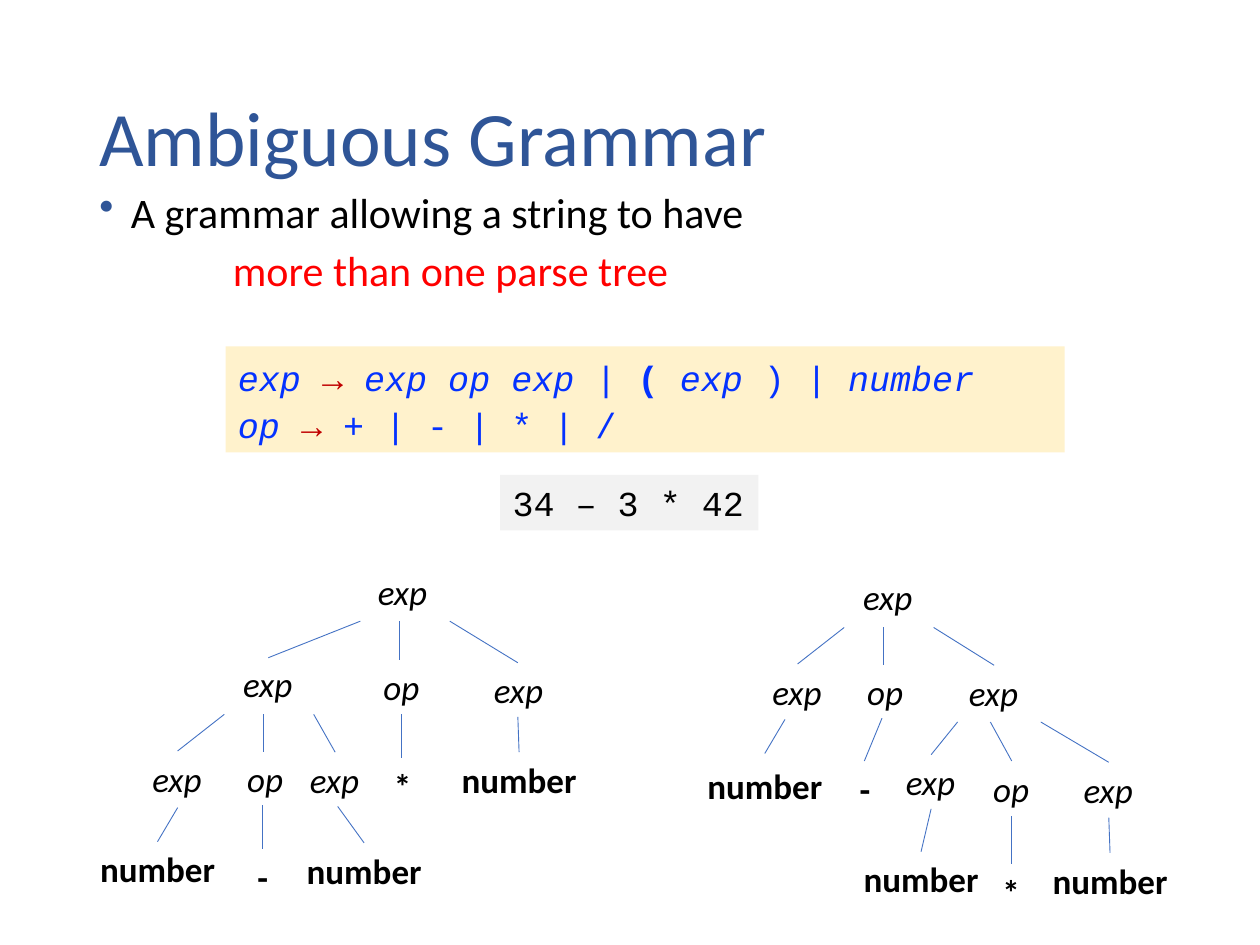
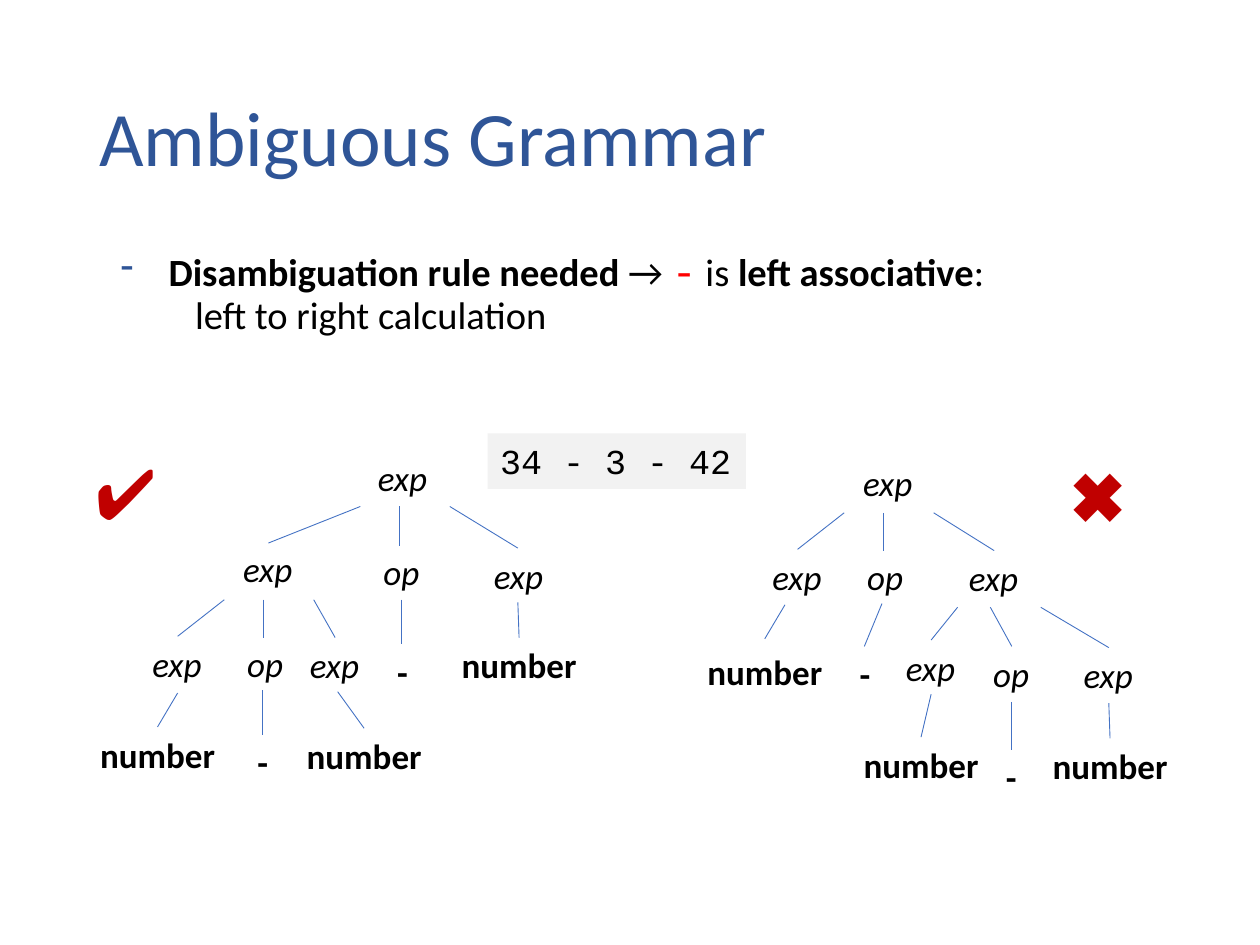
from lxml import etree
from pptx import Presentation
from pptx import util as u
from pptx.dml.color import RGBColor
from pptx.enum import shapes, text
from pptx.oxml import ns

PX = 9144  # one px is a hundredth of an inch
NAVY, BLACK, RED, DARK = "2F5597", "000000", "FF0000", "C00000"
CODE, LINE, CREAM, GREY = "0432FF", "4472C4", "FFF2CC", "F2F2F2"
SANS, MONO = "Calibri", "Courier New"
hue = RGBColor.from_string


def box(slide, at, rows, size=20, color=BLACK, face=SANS, fill=None, wrap=True,
        mid=False, center=False, gap=1.0, space=0, pads=(), mark=None,
        bold=None, italic=None):
    """Write rows of (text, changes) runs; pads are left margins per row."""
    place = [v * PX for v in at]
    if fill:
        item = slide.shapes.add_shape(shapes.MSO_SHAPE.RECTANGLE, *place)
        item.shadow.inherit = False
        item.fill.solid()
        item.fill.fore_color.rgb = hue(fill)
        item.line.fill.background()
    else:
        item = slide.shapes.add_textbox(*place)
    frame = item.text_frame
    frame.word_wrap = wrap
    frame.vertical_anchor = text.MSO_ANCHOR.MIDDLE if mid else text.MSO_ANCHOR.TOP
    for n, row in enumerate(rows):
        para = frame.add_paragraph() if n else frame.paragraphs[0]
        props = para._p.get_or_add_pPr()
        if pads:
            props.set("marL", str(pads[n] * PX))
        if mark and n == 0:
            sign, hang = mark
            props.set("indent", str(-hang * PX))
            tint = etree.SubElement(props, ns.qn("a:buClr"))
            etree.SubElement(tint, ns.qn("a:srgbClr"), val=NAVY)
            etree.SubElement(props, ns.qn("a:buChar"), char=sign)
        para.alignment = text.PP_ALIGN.CENTER if center else text.PP_ALIGN.LEFT
        para.line_spacing = gap
        if n and space:
            para.space_before = u.Pt(space)
        font = para.font
        font.name, font.size, font.color.rgb = face, u.Pt(size), hue(color)
        font.bold, font.italic = bold, italic
        for words, diff in row:
            run = para.add_run()
            run.text = words
            for key, val in diff.items():
                if key == "color":
                    run.font.color.rgb = hue(val)
                else:
                    setattr(run.font, key, val)


deck = Presentation()
deck.slide_width, deck.slide_height = 1000 * PX, 750 * PX
one, two = [deck.slides.add_slide(deck.slide_layouts[6]) for _ in range(2)]

# Titles
for slide in (one, two):
    box(slide, (69, 40, 862, 145), [[("Ambiguous Grammar", {})]],
        size=44, color=NAVY, mid=True, gap=0.9)

# Slide 1: definition, grammar rules and sample string
box(one, (69, 151, 931, 94),
    [[("A grammar allowing a string to have", {})],
     [("more than one parse tree", {"color": RED})]],
    size=24, gap=0.8, space=10, pads=(25, 106), mark=("•", 25))
up = {"italic": False}
arrow = {"color": DARK}
box(one, (179, 275, 666, 84),
    [[("exp ", {}), ("→ ", arrow | up), ("exp op exp ", {}), ("| ", up),
      ("(", up | {"bold": True}), (" exp ", {}), (") |", up), (" number", {})],
     [("op ", {}), ("→ ", arrow), ("+ | - | * | /", up)]],
    color=CODE, face=MONO, fill=CREAM, gap=1.1, italic=True)
box(one, (397, 377, 205, 44), [[("34 – 3 * 42", {})]],
    face=MONO, fill=GREY, wrap=False)

# Slide 2: rule, sample string and verdict marks
thick = {"bold": True}
box(two, (36, 194, 814, 113),
    [[("Disambiguation rule needed", thick), (" → ", {}),
      ("-", {"name": MONO, "size": u.Pt(24), "color": RED}), (" is ", {}),
      ("left associative", thick), (":", {})],
     [("left to right calculation", {})]],
    size=22, gap=0.9, pads=(88, 109), mark=("-", 38))
box(two, (387, 344, 205, 44), [[("34 - 3 - 42", {})]],
    face=MONO, fill=GREY, wrap=False)
for sign, at in (("✖️", (840, 354, 96, 77)), ("✔️", (66, 352, 78, 77))):
    box(two, at, [[(sign, {})]], size=40, color=DARK)

# Parse trees: left and top of each node; "top" is the operator of the product
wide = {"exp": 59, "op": 59, "number": 112}
nodes = {
    "exp": [(290, 448), (183, 521), (382, 526), (111, 596), (236, 597),
            (675, 452), (603, 527), (759, 528), (709, 599), (850, 605)],
    "op": [(289, 523), (181, 596), (673, 527), (773, 604)],
    "number": [(356, 597), (233, 669), (69, 668),
               (551, 602), (675, 676), (825, 677)],
    "-": [(189, 674), (667, 604)],
    "top": [(300, 602), (783, 686)],
}
edges = [
    (286, 493, 213, 522), (317, 493, 317, 524), (357, 493, 411, 526),
    (178, 567, 141, 596), (209, 567, 209, 597), (249, 567, 266, 597),
    (319, 567, 319, 602), (411, 569, 412, 597), (141, 641, 125, 668),
    (208, 639, 208, 674), (268, 640, 289, 669),
    (670, 498, 633, 527), (701, 498, 701, 528), (741, 498, 789, 528),
    (623, 571, 607, 598), (700, 570, 686, 604), (760, 573, 739, 599),
    (786, 573, 803, 604), (826, 573, 880, 605), (739, 642, 731, 676),
    (803, 648, 803, 686), (880, 649, 881, 677),
]
for slide, lift, top in ((one, 0, "*"), (two, 91, "-")):
    for x1, y1, x2, y2 in edges:
        ends = [v * PX for v in (x1, y1 - lift, x2, y2 - lift)]
        edge = slide.shapes.add_connector(shapes.MSO_CONNECTOR.STRAIGHT, *ends)
        edge.line.color.rgb = hue(LINE)
        edge.line.width = u.Pt(0.5)
        etree.SubElement(edge._element.spPr, ns.qn("a:effectLst"))
    for name, spots in nodes.items():
        rule = name in ("exp", "op")
        for x, y in spots:
            box(slide, (x, y - lift, wide.get(name, 39), 44),
                [[(top if name == "top" else name, {})]],
                wrap=False, center=True, bold=not rule, italic=rule)

deck.save("out.pptx")
